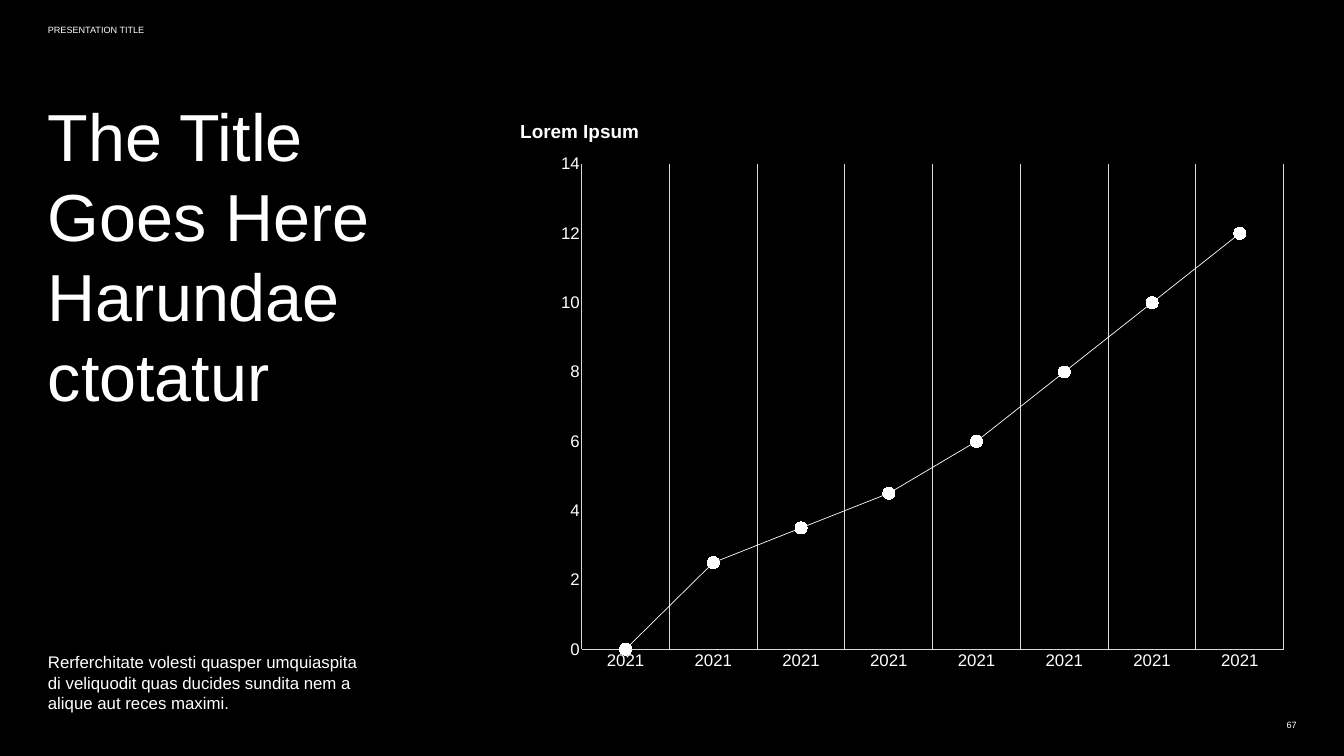
"""Build a black slide with a title, a caption and a line chart."""
import pptx
import pptx.chart.data
import pptx.dml.color
import pptx.enum.chart
import pptx.enum.text
import pptx.oxml
import pptx.oxml.ns
import pptx.util
from pptx.util import Inches

FONT = "Arial"
WHITE = "FFFFFF"
GRID = "D9D9D9"
ALIGN = pptx.enum.text.PP_ALIGN
ANCHOR = pptx.enum.text.MSO_ANCHOR
VALUES = (0, 2.5, 3.5, 4.5, 6, 8, 10, 12)
PLOT_FRAME = {"x": 0.078, "y": 0.031, "w": 0.906, "h": 0.888}


def color(value):
    """Turn a hex string into a colour."""
    return pptx.dml.color.RGBColor.from_string(value)


def style_font(font, size, bold=False):
    """Set the white slide font at a size."""
    font.name = FONT
    font.size = pptx.util.Pt(size)
    font.bold = bold
    font.color.rgb = color(WHITE)


def style_line(line, value, width):
    """Set the colour and width of a line."""
    line.color.rgb = color(value)
    line.width = pptx.util.Pt(width)


def fill_text(box, text, size, bold=False, align=ALIGN.LEFT, anchor=ANCHOR.TOP):
    """Write formatted text into a box without margins."""
    frame = box.text_frame
    frame.word_wrap = True
    frame.auto_size = pptx.enum.text.MSO_AUTO_SIZE.NONE
    frame.margin_left = frame.margin_right = 0
    frame.margin_top = frame.margin_bottom = 0
    frame.vertical_anchor = anchor
    frame.text = text
    para = frame.paragraphs[0]
    para.alignment = align
    para.line_spacing = 1.0
    para.space_before = pptx.util.Pt(0)
    for span in para.runs:
        style_font(span.font, size, bold)


def add_title(page, text):
    """Place and format the title placeholder."""
    title = page.shapes.title
    title.left, title.top = Inches(0.95), Inches(1.89)
    title.width, title.height = Inches(8.05), Inches(5.71)
    fill_text(title, text, 95)


def add_text(page, place, text, size, **options):
    """Add a text box at left, top, width, height."""
    box = page.shapes.add_textbox(*map(Inches, place))
    fill_text(box, text, size, **options)


def set_plot_frame(chart):
    """Fix the inner plot area as fractions of the chart."""
    qn = pptx.oxml.ns.qn
    area = chart._chartSpace.chart.plotArea
    for old in area.findall(qn("c:layout")):
        area.remove(old)
    modes = "".join(f'<c:{key}Mode val="edge"/>' for key in "xy")
    sizes = "".join(f'<c:{key} val="{part}"/>' for key, part in PLOT_FRAME.items())
    area.insert(0, pptx.oxml.parse_xml(
        f'<c:layout {pptx.oxml.ns.nsdecls("c")}><c:manualLayout>'
        f'<c:layoutTarget val="inner"/>{modes}{sizes}'
        '</c:manualLayout></c:layout>'))


def style_axes(chart):
    """Format both axes and draw vertical gridlines only."""
    category, value = chart.category_axis, chart.value_axis
    for axis in (category, value):
        axis.major_tick_mark = pptx.enum.chart.XL_TICK_MARK.NONE
        axis.minor_tick_mark = pptx.enum.chart.XL_TICK_MARK.NONE
        style_font(axis.tick_labels.font, 24)
    style_line(category.format.line, GRID, 0.75)
    category.has_major_gridlines = True
    style_line(category.major_gridlines.format.line, GRID, 1.5)
    value.has_major_gridlines = False
    value.format.line.fill.background()
    value.minimum_scale, value.maximum_scale, value.major_unit = 0, 14, 2


def add_line_chart(page, place):
    """Add the line chart with round markers."""
    data = pptx.chart.data.CategoryChartData()
    data.categories = ["2021"] * len(VALUES)
    data.add_series("Series 1", VALUES)
    chart = page.shapes.add_chart(
        pptx.enum.chart.XL_CHART_TYPE.LINE_MARKERS, *map(Inches, place), data).chart
    chart.has_legend = False
    chart.has_title = False
    style_font(chart.font, 24)
    style_axes(chart)
    set_plot_frame(chart)
    plot = chart.plots[0]
    plot.vary_by_categories = False
    series = plot.series[0]
    series.smooth = False
    style_line(series.format.line, WHITE, 1)
    marker = series.marker
    marker.style = pptx.enum.chart.XL_MARKER_STYLE.CIRCLE
    marker.size = 17
    marker.format.fill.solid()
    marker.format.fill.fore_color.rgb = color(WHITE)
    marker.format.line.fill.background()


def main():
    """Build and save the slide."""
    deck = pptx.Presentation()
    deck.slide_width, deck.slide_height = Inches(26.66), Inches(15)
    page = deck.slides.add_slide(deck.slide_layouts.get_by_name("Title Only"))
    page.background.fill.solid()
    page.background.fill.fore_color.rgb = color("000000")
    add_title(page, "The Title Goes Here Harundae ctotatur")
    add_text(page, (0.95, 7.84, 8.05, 6.3),
             "Rerferchitate volesti quasper umquiaspita\v"
             "di veliquodit quas ducides sundita nem a\v"
             "alique aut reces maximi.", 24, anchor=ANCHOR.BOTTOM)
    add_text(page, (0.95, 0.49, 9, 0.47), "PRESENTATION TITLE", 13)
    add_text(page, (24.59, 14.18, 1.13, 0.42), "67", 13,
             align=ALIGN.RIGHT, anchor=ANCHOR.MIDDLE)
    add_line_chart(page, (10.34, 2.92, 15.37, 10.84))
    add_text(page, (10.32, 2.37, 10.87, 0.56), "Lorem Ipsum", 27, bold=True)
    deck.save("out.pptx")


if __name__ == "__main__":
    main()
